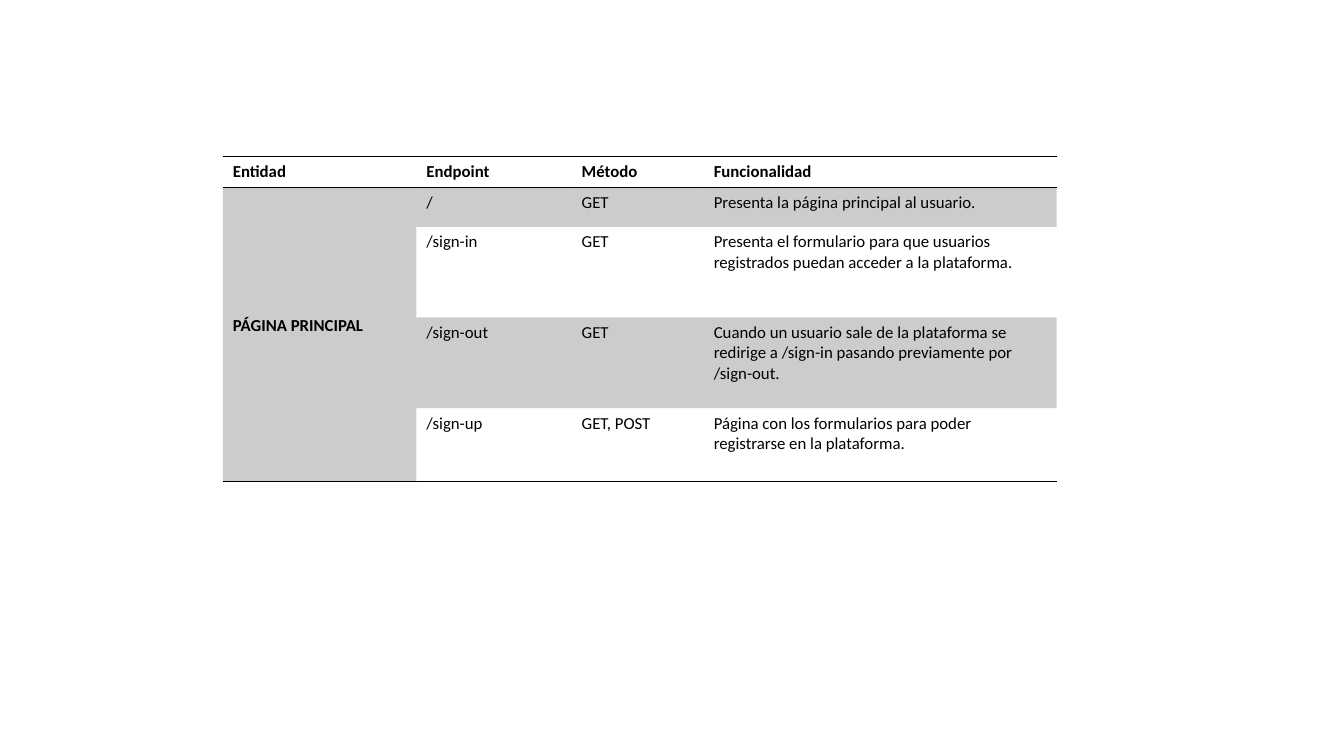
from dataclasses import dataclass
from lxml.etree import SubElement
from pptx import Presentation
from pptx.dml.color import RGBColor as RGB
from pptx.enum.text import MSO_ANCHOR
from pptx.oxml.ns import qn
from pptx.util import Inches, Pt


@dataclass(frozen=True)
class Theme:
    font: str = "Calibri"
    size: int = 12
    ink: str = "000000"
    band_alpha: int = 20
    rule: int = 1


THEME = Theme()
NO_GRID_STYLE = "{2D5ABB26-0587-4C30-8999-92F81FD0307C}"
COLUMNS = (1.92, 1.54, 1.31, 3.5)
ROWS = (0.31, 0.39, 0.9, 0.9, 0.73)
ENDPOINTS = (
    ("Entidad", "Endpoint", "Método", "Funcionalidad"),
    ("PÁGINA PRINCIPAL", "/", "GET", "Presenta la página principal al usuario."),
    ("", "/sign-in", "GET",
     "Presenta el formulario para que usuarios registrados puedan acceder a la plataforma."),
    ("", "/sign-out", "GET",
     "Cuando un usuario sale de la plataforma se redirige a /sign-in pasando previamente por /sign-out."),
    ("", "/sign-up", "GET, POST",
     "Página con los formularios para poder registrarse en la plataforma."),
)


def add_rule(cell, side):
    ln = SubElement(cell._tc.get_or_add_tcPr(), qn(f"a:{side}"), w=str(Pt(THEME.rule)))
    fill = SubElement(ln, qn("a:solidFill"))
    SubElement(fill, qn("a:srgbClr"), val=THEME.ink)


def shade(cell):
    cell.fill.solid()
    cell.fill.fore_color.rgb = RGB.from_string(THEME.ink)
    color = cell._tc.tcPr.find(f"{qn('a:solidFill')}/{qn('a:srgbClr')}")
    SubElement(color, qn("a:alpha"), val=str(THEME.band_alpha * 1000))


def write(cell, text, bold):
    p = cell.text_frame.paragraphs[0]
    p.text = text
    p.font.name = THEME.font
    p.font.size = Pt(THEME.size)
    p.font.bold = bold
    p.font.color.rgb = RGB.from_string(THEME.ink)


def endpoint_table(slide, left, top):
    frame = slide.shapes.add_table(len(ROWS), len(COLUMNS), Inches(left), Inches(top),
                                   Inches(sum(COLUMNS)), Inches(sum(ROWS)))
    table = frame.table
    table.first_row = table.horz_banding = False
    table._tbl.tblPr.find(qn("a:tableStyleId")).text = NO_GRID_STYLE
    for column, width in zip(table.columns, COLUMNS):
        column.width = Inches(width)
    for row, height in zip(table.rows, ROWS):
        row.height = Inches(height)

    last = len(ROWS) - 1
    entity = table.cell(1, 0)
    entity.merge(table.cell(last, 0))
    for i, texts in enumerate(ENDPOINTS):
        for j, text in enumerate(texts):
            cell = table.cell(i, j)
            if i == 0:
                add_rule(cell, "lnT")
            if i in (0, last) or cell.is_merge_origin:
                add_rule(cell, "lnB")
            if i % 2:
                shade(cell)
            if not cell.is_spanned:
                write(cell, text, bold=i == 0 or j == 0)
    entity.vertical_anchor = MSO_ANCHOR.MIDDLE
    entity.margin_bottom = Inches(0.23)


def main():
    prs = Presentation()
    prs.slide_width, prs.slide_height = Inches(13.33), Inches(7.5)
    s = prs.slides.add_slide(prs.slide_layouts[6])
    endpoint_table(s, 2.21, 1.55)
    prs.save("out.pptx")


if __name__ == "__main__":
    main()
